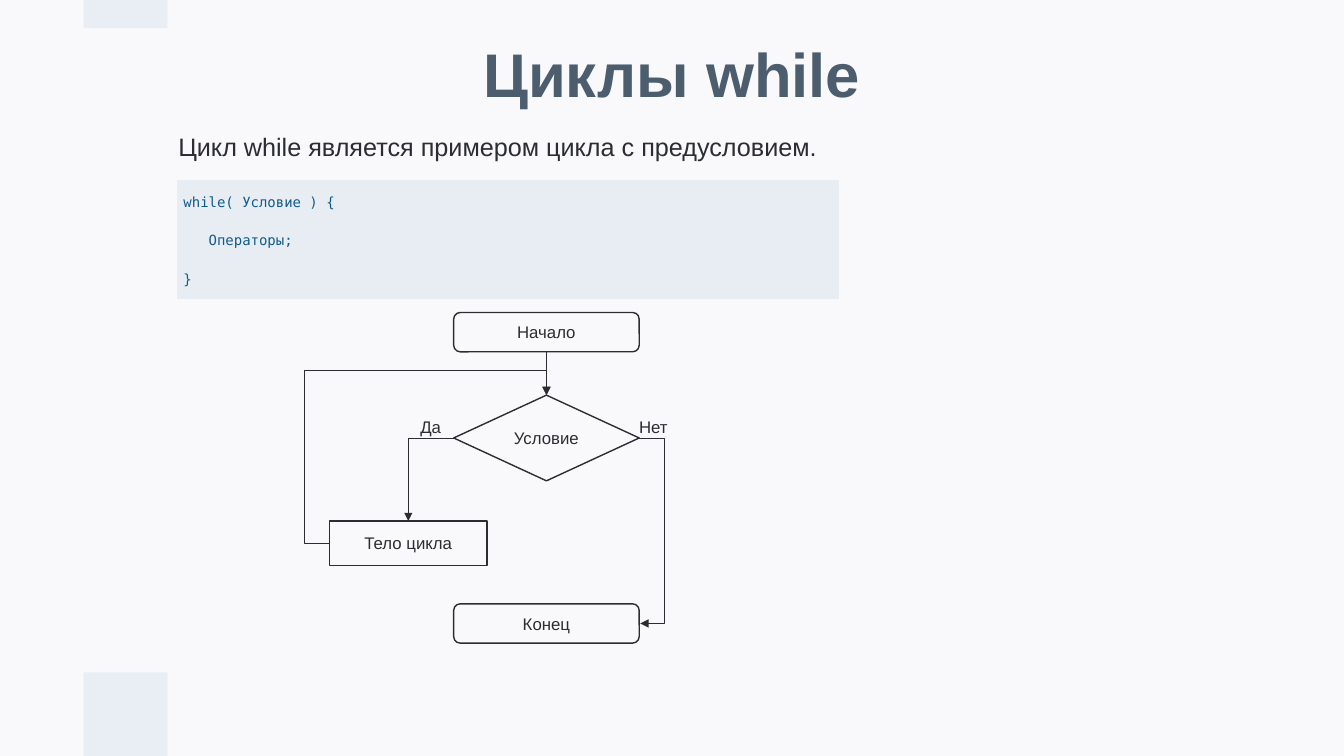
from lxml import etree
from pptx import Presentation
from pptx.dml.color import RGBColor
from pptx.enum import shapes as kinds, text as align
from pptx.oxml import ns
from pptx.util import Inches, Pt

COLORS = {
    "background": "F9F9FB", "accent": "E9EDF4", "code_fill": "E8ECF3",
    "title": "4C5D6E", "ink": "2C2D30", "code": "115C8C",
}
SANS, MONO = "Arial", "DejaVu Sans Mono"
SHAPE = kinds.MSO_SHAPE
CENTER = align.PP_ALIGN.CENTER
MIDDLE = align.MSO_ANCHOR.MIDDLE

# Flowchart measures
AXIS = 5.42                       # centre of the main column
NODE_W, END_H = 1.84, 0.39
LEFT, RIGHT = AXIS - NODE_W / 2, AXIS + NODE_W / 2
START_Y, CHECK_Y, BODY_Y, END_Y = 3.1, 3.92, 5.17, 5.99
CHECK_H, BODY_H = 0.85, 0.44
BODY_X, BODY_W = 3.27, 1.56
DETOUR = 0.25                     # how far the connectors swing out


def color(name):
    return RGBColor.from_string(COLORS[name])


def inches(*values):
    return [Inches(value) for value in values]


def style(para, size, ink="ink", font=SANS, bold=False):
    for span in para.runs:
        span.font.size = Pt(size)
        span.font.name = font
        span.font.bold = bold
        span.font.color.rgb = color(ink)


def add_text(page, place, words, size, ink="ink", bold=False, wrap=False):
    box = page.shapes.add_textbox(*inches(*place))
    frame = box.text_frame
    frame.word_wrap = wrap
    frame.text = words
    style(frame.paragraphs[0], size, ink, bold=bold)
    return frame


def add_block(page, kind, place, fill, words="", outlined=False):
    block = page.shapes.add_shape(kind, *inches(*place))
    block.shadow.inherit = False
    block.fill.solid()
    block.fill.fore_color.rgb = color(fill)
    if outlined:
        block.line.color.rgb = color("ink")
        block.line.width = Pt(1)
    else:
        block.line.fill.background()
    if words:
        frame = block.text_frame
        frame.text = words
        frame.vertical_anchor = MIDDLE
        frame.paragraphs[0].alignment = CENTER
        style(frame.paragraphs[0], 12)


def add_arrow(page, start, end, preset="line", bends=()):
    """Bends are fractions of the connector's width and height."""
    kind = kinds.MSO_CONNECTOR.STRAIGHT if preset == "line" else kinds.MSO_CONNECTOR.ELBOW
    arrow = page.shapes.add_connector(kind, *inches(*start, *end))
    arrow.line.color.rgb = color("ink")
    arrow.line.width = Pt(0.5)
    props = arrow._element.spPr
    head = etree.SubElement(props.find(ns.qn("a:ln")), ns.qn("a:tailEnd"))
    head.set("type", "triangle")
    etree.SubElement(props, ns.qn("a:effectLst"))
    geometry = props.find(ns.qn("a:prstGeom"))
    geometry.set("prst", preset)
    guides = geometry.find(ns.qn("a:avLst"))
    for number, bend in enumerate(bends, 1):
        guide = etree.SubElement(guides, ns.qn("a:gd"))
        guide.set("name", f"adj{number}")
        guide.set("fmla", f"val {round(bend * 100000)}")


def set_borders(cell, name):
    props = cell._tc.get_or_add_tcPr()
    for position, side in enumerate(("lnL", "lnR", "lnT", "lnB")):
        line = etree.Element(ns.qn(f"a:{side}"), w=str(Pt(1)))
        fill = etree.SubElement(line, ns.qn("a:solidFill"))
        etree.SubElement(fill, ns.qn("a:srgbClr"), val=COLORS[name])
        props.insert(position, line)


def add_code(page, place, lines):
    table = page.shapes.add_table(1, 1, *inches(*place)).table
    table.first_row = table.horz_banding = False
    cell = table.cell(0, 0)
    cell.fill.solid()
    cell.fill.fore_color.rgb = color("code_fill")
    cell.margin_left = cell.margin_right = Inches(0.07)
    cell.margin_top = cell.margin_bottom = Inches(0.07)
    set_borders(cell, "background")
    frame = cell.text_frame
    frame.text = "\n".join(words for words, _ in lines)
    for para, (_, indent) in zip(frame.paragraphs, lines):
        para.line_spacing = 1.5
        para.space_before = Pt(10)
        para._p.get_or_add_pPr().set("marL", str(Inches(indent)))
        style(para, 10, "code", MONO)


def add_flowchart(page):
    # Steps
    check_mid = CHECK_Y + CHECK_H / 2
    body_mid = BODY_Y + BODY_H / 2
    end_mid = END_Y + END_H / 2
    for kind, place, words in (
        (SHAPE.ROUNDED_RECTANGLE, (LEFT, START_Y, NODE_W, END_H), "Начало"),
        (SHAPE.DIAMOND, (LEFT, CHECK_Y, NODE_W, CHECK_H), "Условие"),
        (SHAPE.RECTANGLE, (BODY_X, BODY_Y, BODY_W, BODY_H), "Тело цикла"),
        (SHAPE.ROUNDED_RECTANGLE, (LEFT, END_Y, NODE_W, END_H), "Конец"),
    ):
        add_block(page, kind, place, "background", words, outlined=True)

    # Arrows: into the loop, yes, no, and back to the condition
    add_arrow(page, (AXIS, START_Y + END_H), (AXIS, CHECK_Y))
    add_arrow(page, (LEFT, check_mid), (BODY_X + BODY_W / 2, BODY_Y), "bentConnector2")
    gap = 0.01
    add_arrow(page, (RIGHT, check_mid), (RIGHT + gap, end_mid),
              "bentConnector3", [DETOUR / gap])
    add_arrow(page, (BODY_X, body_mid), (AXIS, CHECK_Y), "bentConnector4",
              [-DETOUR / (AXIS - BODY_X), 1 + DETOUR / (body_mid - CHECK_Y)])

    # Branch labels
    add_text(page, (4.07, 4.09, 0.41, 0.3), "Да", 12)
    add_text(page, (6.24, 4.09, 0.49, 0.3), "Нет", 12)


def main():
    deck = Presentation()
    deck.slide_width, deck.slide_height = inches(13.33, 7.5)
    page = deck.slides.add_slide(deck.slide_layouts[6])
    page.background.fill.solid()
    page.background.fill.fore_color.rgb = color("background")

    # Accent squares at the edges
    for top, height in ((6.67, 0.83), (0, 0.28)):
        add_block(page, SHAPE.RECTANGLE, (0.83, top, 0.83, height), "accent")

    # Title
    title = add_text(page, (1.67, 0.4, 9.99, 0.73), "Циклы while", 44, "title",
                     bold=True, wrap=True)
    title.vertical_anchor = MIDDLE
    title.paragraphs[0].alignment = CENTER
    title.paragraphs[0].line_spacing = 0.9

    # Definition and syntax
    add_text(page, (1.67, 1.25, 6.67, 0.4),
             "Цикл while является примером цикла с предусловием.", 18, wrap=True)
    add_code(page, (1.75, 1.78, 6.58, 1.19),
             [("while( Условие ) {", 0), ("Операторы;", 0.25), ("}", 0)])

    add_flowchart(page)
    deck.save("out.pptx")


main()
